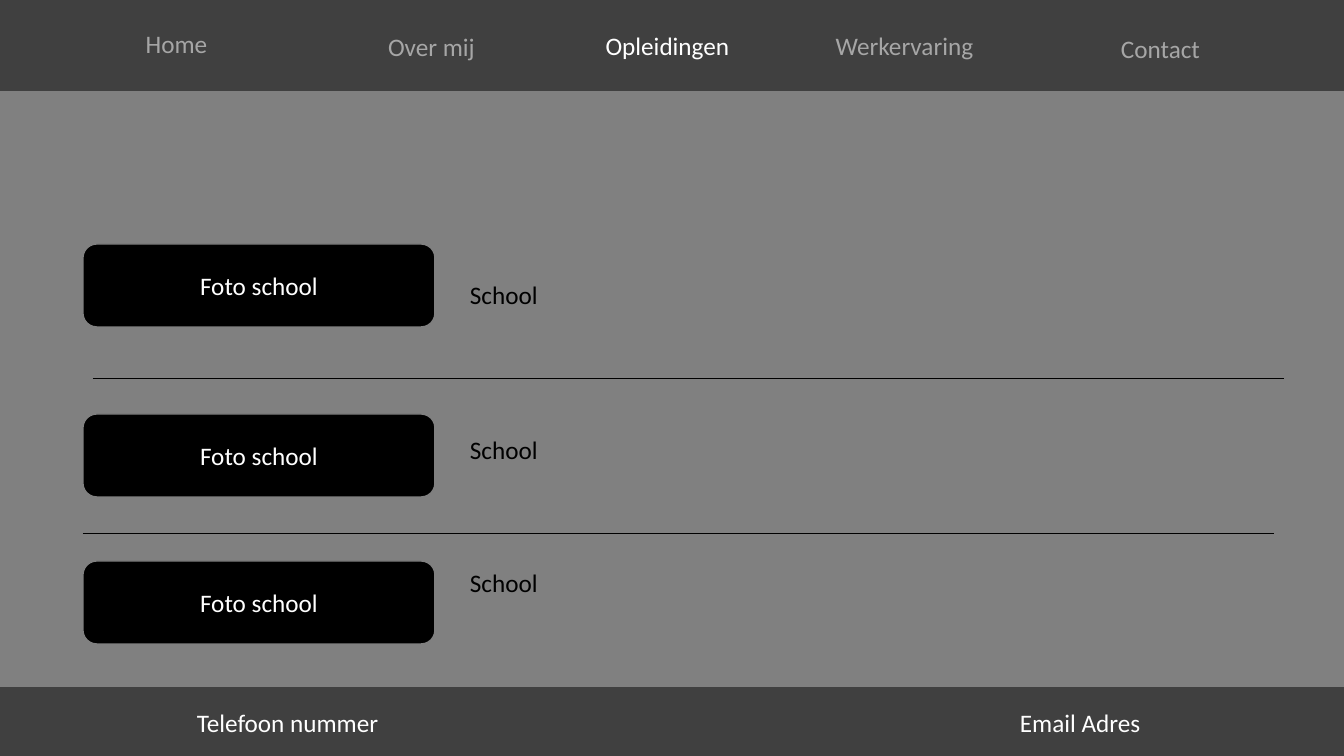
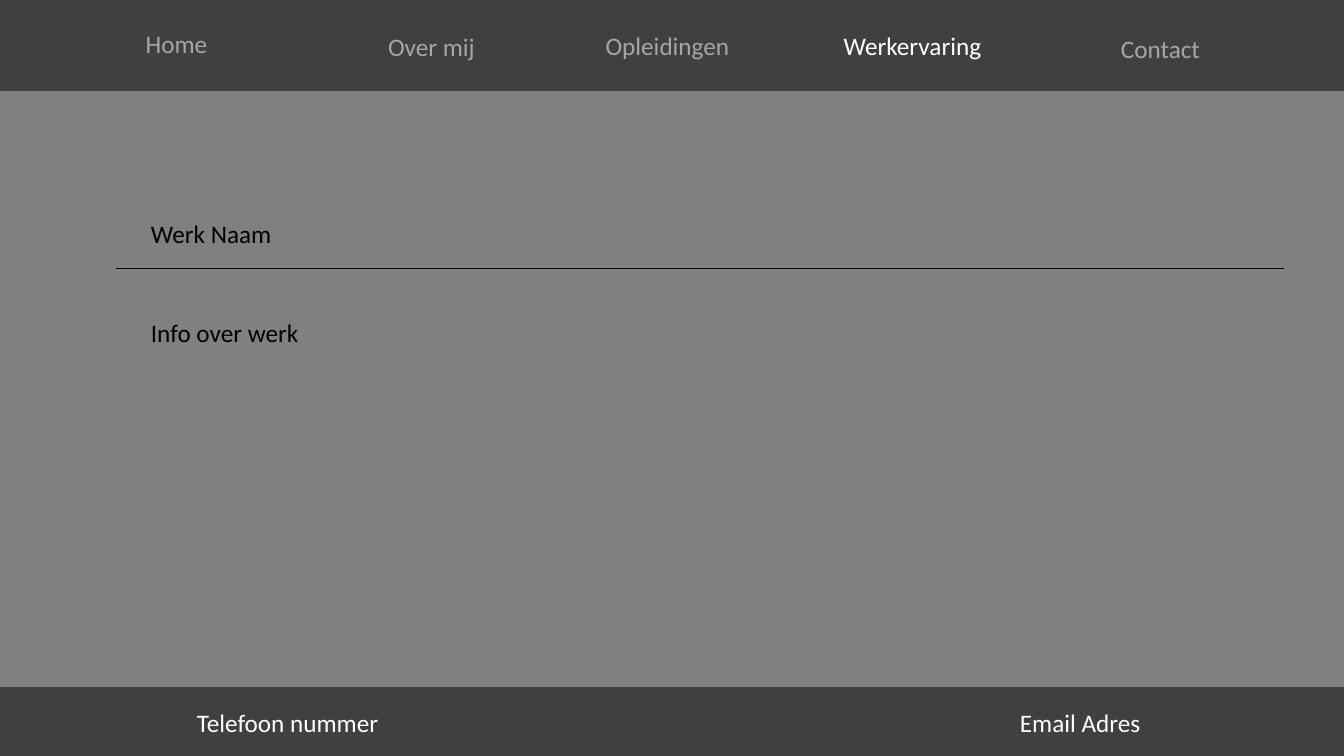
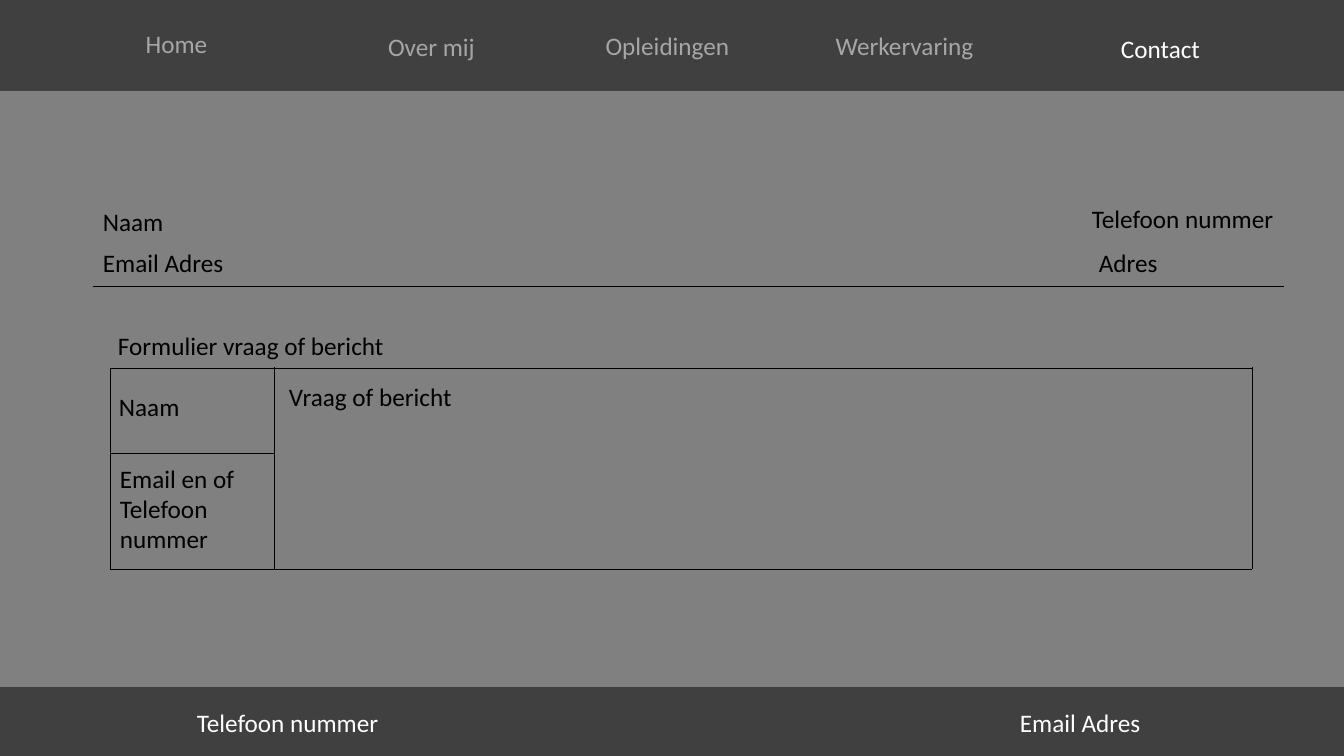
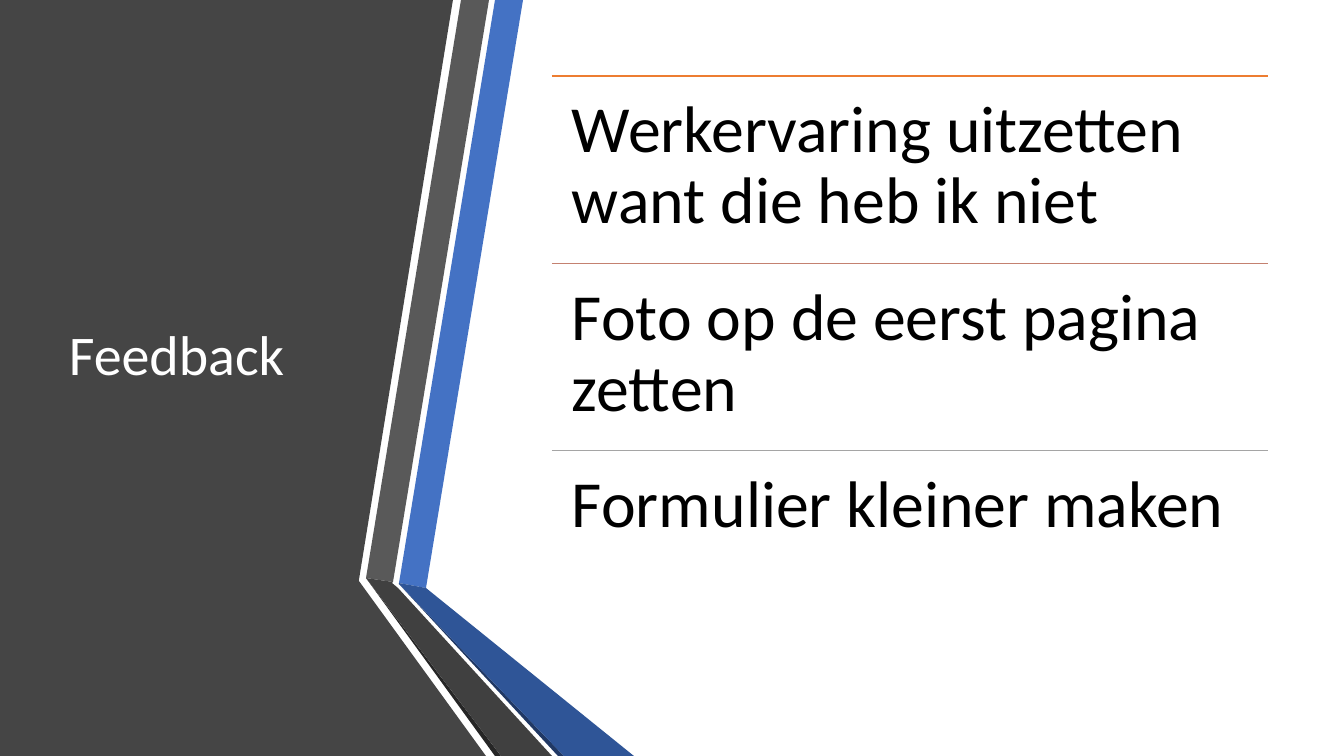
from lxml import etree
from pptx import Presentation
from pptx.dml.color import RGBColor
from pptx.enum.shapes import MSO_CONNECTOR, MSO_SHAPE
from pptx.enum.text import MSO_ANCHOR, MSO_AUTO_SIZE, PP_ALIGN
from pptx.oxml.ns import qn
from pptx.util import Pt

STRAIGHT = MSO_CONNECTOR.STRAIGHT
RECTANGLE, ROUNDED = MSO_SHAPE.RECTANGLE, MSO_SHAPE.ROUNDED_RECTANGLE
TOP, MIDDLE = MSO_ANCHOR.TOP, MSO_ANCHOR.MIDDLE
LEFT, CENTER = PP_ALIGN.LEFT, PP_ALIGN.CENTER
GROW, FIXED = MSO_AUTO_SIZE.SHAPE_TO_FIT_TEXT, MSO_AUTO_SIZE.NONE

BLACK = RGBColor(0x00, 0x00, 0x00)
WHITE = RGBColor(0xFF, 0xFF, 0xFF)
PAGE_GRAY = RGBColor(0x80, 0x80, 0x80)
BAND_GRAY = RGBColor(0x40, 0x40, 0x40)
MUTED = RGBColor(0xA6, 0xA6, 0xA6)
PANEL = RGBColor(0x45, 0x45, 0x45)
STRIPE_GRAY = RGBColor(0x59, 0x59, 0x59)
FOLD_BLACK = RGBColor(0x26, 0x26, 0x26)
BLUE = RGBColor(0x44, 0x72, 0xC4)
DEEP_BLUE = RGBColor(0x2F, 0x55, 0x97)
NAVY = RGBColor(0x20, 0x38, 0x64)
ORANGE = RGBColor(0xED, 0x7D, 0x31)
ROSE = RGBColor(0xC4, 0x81, 0x70)
SILVER = RGBColor(0xA5, 0xA5, 0xA5)

FONT = "Calibri"
SCALE = 914400 / 100.8
WIDTH, HEIGHT = 1344, 756
LABEL_HEIGHT = 40
PHONE, EMAIL = "Telefoon nummer", "Email Adres"

# Shared bands, menu and footer
BANDS = [(0, 1, WIDTH, 89), (0, 688, WIDTH, 68)]
MENU_SIZE = (219, 62)
MENU = [  # text, left, left when active, top
    ("Home", 67, 67, 12),
    ("Over mij", 322, 322, 15),
    ("Opleidingen", 558, 558, 14),
    ("Werkervaring", 795, 803, 14),
    ("Contact", 1051, 1051, 17),
]
FOOTER = [(PHONE, 187, 702, 207), (EMAIL, 1010, 702, 173)]

# Pages: labels are text, left, top, width; rules are x1, y1, x2, y2
SCHOOL_TOPS = [(244, 274), (414, 429), (561, 562)]
PHOTO_LEFT, PHOTO_SIZE = 83, (352, 83)
FORM_LEFT, FORM_SPLIT, FORM_RIGHT = 110, 274, 1252
FORM_TOP, FORM_ROW, FORM_BOTTOM = 368, 453, 569
PAGES = [
    {
        "active": "Opleidingen",
        "rules": [(93, 378, 1284, 378), (83, 533, 1274, 533)],
        "labels": [("School", 460, top, 188) for _, top in SCHOOL_TOPS],
        "photos": [("Foto school", top) for top, _ in SCHOOL_TOPS],
    },
    {
        "active": "Werkervaring",
        "rules": [(116, 268, 1284, 268)],
        "labels": [("Werk Naam", 141, 213, 1019), ("Info over werk", 141, 312, 168)],
        "photos": [],
    },
    {
        "active": "Contact",
        "rules": [
            (93, 286, 1284, 286),
            (FORM_LEFT, FORM_TOP, FORM_RIGHT, FORM_TOP),
            (FORM_LEFT, FORM_BOTTOM, FORM_RIGHT, FORM_BOTTOM),
            (FORM_LEFT, FORM_ROW, FORM_SPLIT, FORM_ROW),
            (FORM_LEFT, FORM_TOP, FORM_LEFT, FORM_BOTTOM),
            (FORM_SPLIT, FORM_TOP - 1, FORM_SPLIT, FORM_BOTTOM),
            (FORM_RIGHT, FORM_TOP - 1, FORM_RIGHT, FORM_BOTTOM),
        ],
        "labels": [
            ("Naam", 93, 201, 82),
            (EMAIL, 93, 242, 143),
            (PHONE, 1082, 198, 204),
            ("Adres", 1089, 242, 143),
            ("Formulier vraag of bericht", 108, 325, 306),
            ("Naam", 109, 386, 106),
            ("Email en of Telefoon nummer", 110, 458, 139, 102),
            ("Vraag of bericht", 279, 376, 210),
        ],
        "photos": [],
    },
]

# Feedback slide
FEEDBACK_TITLE = "Feedback"
TITLE_BOX = (59, 76, 306, 562)
FEEDBACK = [
    ("Werkervaring uitzetten want die heb ik niet", ORANGE),
    ("Foto op de eerst pagina zetten", ROSE),
    ("Formulier kleiner maken", SILVER),
]
LIST_LEFT, LIST_TOP, LIST_WIDTH, LIST_HEIGHT = 552, 76, 716, 562
LIST_INSET = 20
SIDE_PANEL = [(356, 0), (453, 0), (359, 580), (359, 581), (486, 756), (0, 756), (0, 0)]
RIBBONS = [
    (BLUE, [(399, 583), (426, 588), (523, 0), (495, 0)]),
    (STRIPE_GRAY, [(489, 0), (461, 0), (366, 578), (393, 582)]),
    (FOLD_BLACK, [(366, 578), (495, 756), (501, 756)]),
    (NAVY, [(399, 584), (558, 756), (564, 756)]),
    (DEEP_BLUE, [(399, 584), (564, 756), (634, 756), (426, 588), (399, 583)]),
    (BAND_GRAY, [(552, 756), (398, 588), (392, 583), (393, 582), (366, 578), (501, 756)]),
]


def emu(*pixels):
    """Turn pixel lengths into EMU."""
    return [round(pixel * SCALE) for pixel in pixels]


def set_all(target, values):
    """Set every attribute named in values on target."""
    for name, value in values.items():
        setattr(target, name, value)


def write(shape, text, color, size=18, align=LEFT, anchor=TOP, fit=FIXED, spacing=1.0, inset=None):
    """Put one styled paragraph into a shape."""
    frame = shape.text_frame
    set_all(frame, {"word_wrap": True, "auto_size": fit, "vertical_anchor": anchor})
    if inset is not None:
        sides = ("margin_left", "margin_top", "margin_right", "margin_bottom")
        set_all(frame, dict.fromkeys(sides, emu(inset)[0]))
    paragraph = frame.paragraphs[0]
    set_all(paragraph, {"alignment": align, "line_spacing": spacing})
    run = paragraph.add_run()
    run.text = text
    set_all(run.font, {"name": FONT, "size": Pt(size)})
    run.font.color.rgb = color


def add_text(shapes, text, box, color, **style):
    """Add a text box."""
    write(shapes.add_textbox(*emu(*box)), text, color, **style)


def add_label(shapes, color, text, left, top, width, height=LABEL_HEIGHT):
    """Add a small label that grows with its text."""
    add_text(shapes, text, (left, top, width, height), color, fit=GROW)


def add_block(shapes, preset, box, fill, outline):
    """Add a filled preset shape with a thin outline."""
    block = shapes.add_shape(preset, *emu(*box))
    block.shadow.inherit = False
    block.fill.solid()
    block.fill.fore_color.rgb = fill
    block.line.color.rgb = outline
    block.line.width = Pt(1)
    return block


def add_rule(shapes, ends, color=BLACK, weight=0.5):
    """Add a straight line without shadow."""
    rule = shapes.add_connector(STRAIGHT, *emu(*ends))
    rule.line.color.rgb = color
    rule.line.width = Pt(weight)
    etree.SubElement(rule._element.spPr, qn("a:effectLst"))


def add_outline(shapes, color, points):
    """Add a filled closed polygon."""
    builder = shapes.build_freeform(*points[0], scale=SCALE)
    builder.add_line_segments(points[1:], close=True)
    polygon = builder.convert_to_shape()
    polygon.shadow.inherit = False
    polygon.fill.solid()
    polygon.fill.fore_color.rgb = color
    polygon.line.fill.background()


def add_slide(deck, background):
    """Add a blank slide with a plain background and return its shapes."""
    slide = deck.slides.add_slide(deck.slide_layouts[6])
    slide.background.fill.solid()
    slide.background.fill.fore_color.rgb = background
    return slide.shapes


def add_frame(shapes, active):
    """Add the bands, the menu and the footer."""
    for band in BANDS:
        add_block(shapes, RECTANGLE, band, BAND_GRAY, BAND_GRAY)
    for text, left, active_left, top in MENU:
        chosen = text == active
        box = (active_left if chosen else left, top, *MENU_SIZE)
        button = add_block(shapes, ROUNDED, box, BAND_GRAY, BAND_GRAY)
        write(button, text, WHITE if chosen else MUTED, align=CENTER, anchor=MIDDLE)
    for contact in FOOTER:
        add_label(shapes, WHITE, *contact)


def add_page(deck, page):
    """Build one page of the site design."""
    shapes = add_slide(deck, PAGE_GRAY)
    for ends in page["rules"]:
        add_rule(shapes, ends)
    for label in page["labels"]:
        add_label(shapes, BLACK, *label)
    for text, top in page["photos"]:
        photo = add_block(shapes, ROUNDED, (PHOTO_LEFT, top, *PHOTO_SIZE), BLACK, PAGE_GRAY)
        write(photo, text, WHITE, align=CENTER, anchor=MIDDLE)
    add_frame(shapes, page["active"])


def add_feedback(deck):
    """Build the closing slide with the feedback list."""
    shapes = add_slide(deck, WHITE)
    add_outline(shapes, PANEL, SIDE_PANEL)
    ribbons = shapes.add_group_shape().shapes
    for color, points in RIBBONS:
        add_outline(ribbons, color, points)
    add_text(shapes, FEEDBACK_TITLE, TITLE_BOX, WHITE, size=40, anchor=MIDDLE, spacing=0.9)
    remarks = shapes.add_group_shape().shapes
    step = LIST_HEIGHT / len(FEEDBACK)
    for index, (remark, color) in enumerate(FEEDBACK):
        top = LIST_TOP + index * step
        add_rule(remarks, (LIST_LEFT, top, LIST_LEFT + LIST_WIDTH, top), color, 1)
        add_text(remarks, remark, (LIST_LEFT, top, LIST_WIDTH, step), BLACK,
                 size=47, spacing=0.9, inset=LIST_INSET)


def main():
    """Build and save the deck."""
    deck = Presentation()
    deck.slide_width, deck.slide_height = emu(WIDTH, HEIGHT)
    for page in PAGES:
        add_page(deck, page)
    add_feedback(deck)
    deck.save("out.pptx")


main()
